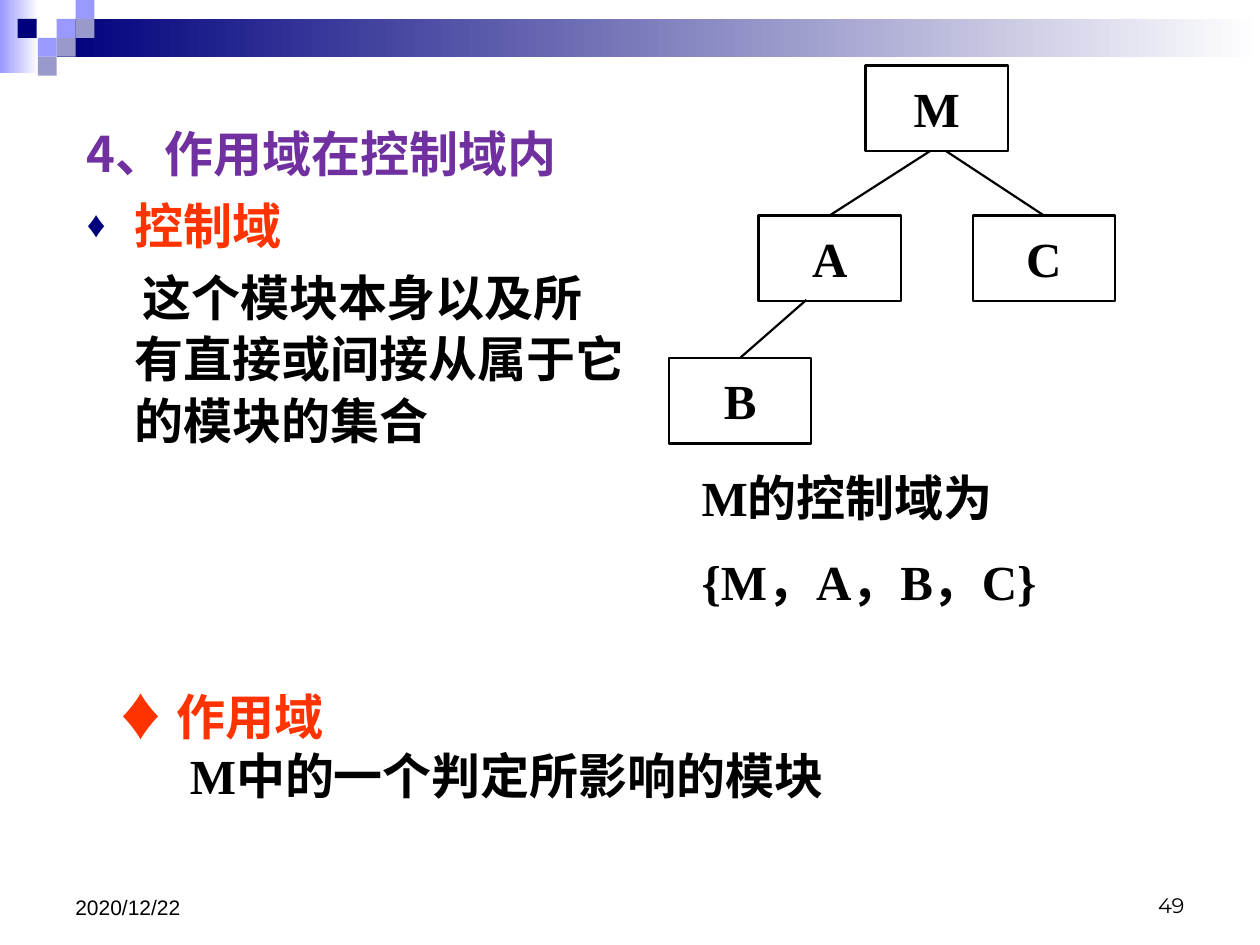
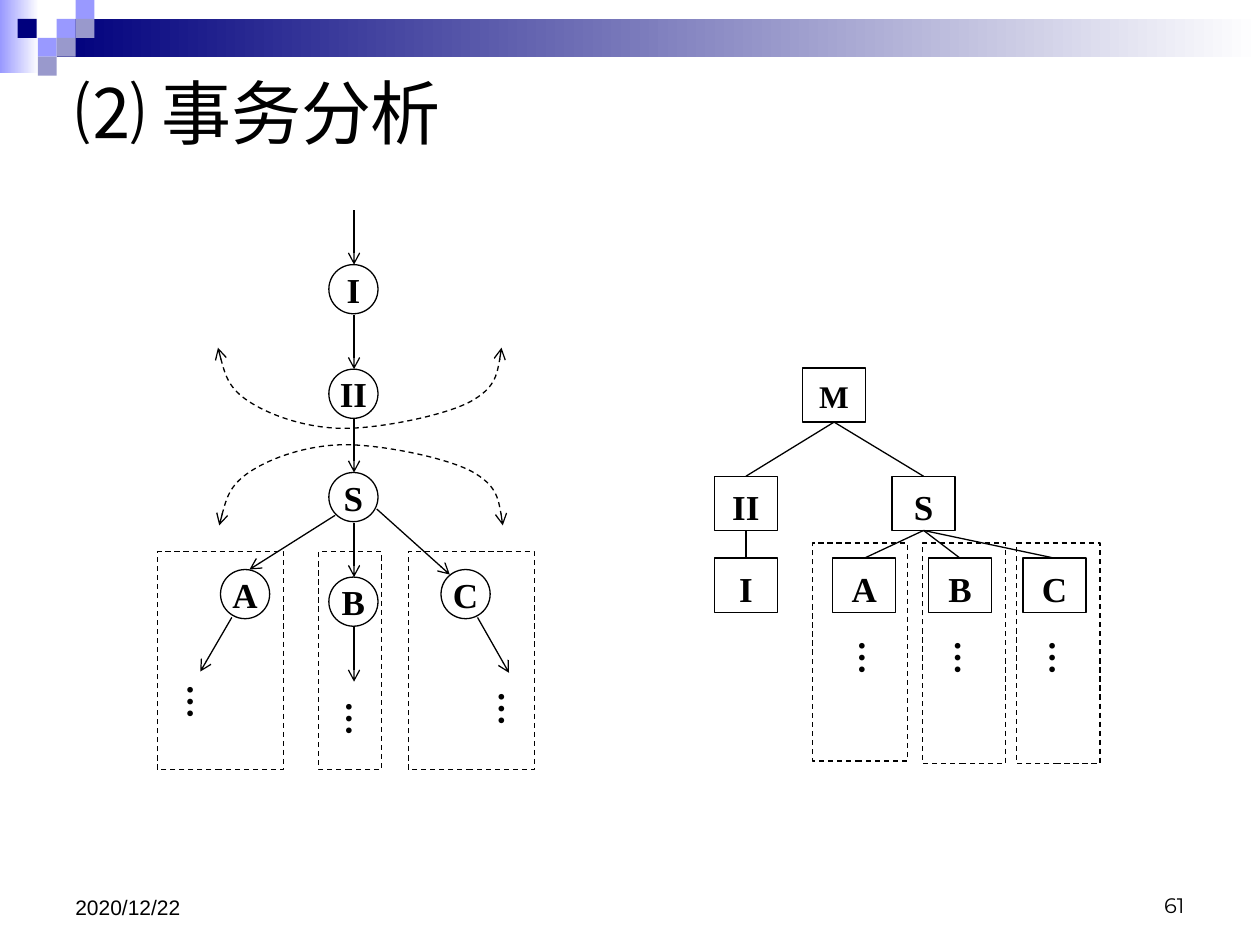
from dataclasses import dataclass

from lxml import etree
from pptx import Presentation
from pptx import util as u
from pptx.dml.color import RGBColor
from pptx.enum import dml, shapes, text
from pptx.oxml.ns import qn

PX = 9144  # EMU in one px: 100 px to the inch


@dataclass(frozen=True)
class Theme:
    navy: str = "00007D"
    lilac: str = "9999FF"
    grey_lilac: str = "9999CC"
    purple: str = "7030A0"
    red: str = "FF3300"
    black: str = "000000"
    white: str = "FFFFFF"
    serif: str = "Times New Roman"
    cjk: str = "Noto Sans CJK JP"
    date_font: str = "Arial"
    number_font: str = "Montserrat"
    title: int = 40
    body: int = 28
    node: int = 20
    root: int = 18
    footer: int = 12


T = Theme()
TOP, MIDDLE, BOTTOM = (text.MSO_ANCHOR.TOP, text.MSO_ANCHOR.MIDDLE,
                       text.MSO_ANCHOR.BOTTOM)
LEFT, CENTER, RIGHT, JUSTIFY = (text.PP_ALIGN.LEFT, text.PP_ALIGN.CENTER,
                                text.PP_ALIGN.RIGHT, text.PP_ALIGN.JUSTIFY)
RECT, OVAL = shapes.MSO_SHAPE.RECTANGLE, shapes.MSO_SHAPE.OVAL
SIDE_TOP, SIDE_BOTTOM = 0, 2


def px(*values):
    return [u.Emu(round(v * PX)) for v in values]


def assign(obj, values):
    for name, value in values.items():
        setattr(obj, name, value)


def place(sp, box):
    assign(sp, dict(zip(("left", "top", "width", "height"), px(*box))))


def frame(sp, anchor=TOP, insets=(10, 5, 10, 5), wrap=True):
    tf = sp.text_frame
    sides = ("margin_left", "margin_top", "margin_right", "margin_bottom")
    assign(tf, dict(zip(sides, px(*insets)), vertical_anchor=anchor,
                    word_wrap=wrap, auto_size=text.MSO_AUTO_SIZE.NONE))
    return tf


def write(p, words, size, color=T.black, font=T.serif, bold=True, indent=None,
          bullet=None, **layout):
    """Fill one paragraph; indent is (left, first line) in px."""
    pPr = p._p.get_or_add_pPr()
    if indent:
        for name, value in zip(("marL", "indent"), px(*indent)):
            pPr.set(name, str(int(value)))
    if bullet:
        clr = etree.SubElement(pPr, qn("a:buClr"))
        etree.SubElement(clr, qn("a:srgbClr"), val=T.navy)
        etree.SubElement(pPr, qn("a:buSzPct"), val="75000")
        etree.SubElement(pPr, qn("a:buChar"), char=bullet)
    else:
        etree.SubElement(pPr, qn("a:buNone"))
    assign(p, layout)
    r = p.add_run()
    r.text = words
    assign(r.font, dict(name=font, size=u.Pt(size), bold=bold))
    r.font.color.rgb = RGBColor.from_string(color)
    etree.SubElement(r._r.get_or_add_rPr(), qn("a:ea"), typeface=T.cjk)


def ink(sp, weight, dashed=False, head=False, tail=False):
    """Black outline, with optional dashes and arrowheads."""
    sp.line.color.rgb = RGBColor.from_string(T.black)
    sp.line.width = u.Pt(weight)
    if dashed:
        sp.line.dash_style = dml.MSO_LINE.DASH
    ln = sp.element.find(".//" + qn("a:ln"))
    for tag, wanted in (("a:headEnd", head), ("a:tailEnd", tail)):
        if wanted:
            etree.SubElement(ln, qn(tag), type="arrow")


class Region:
    """Draws parts at px offsets from the top left corner of its box."""

    def __init__(self, sl, x, y, weight=0.75):
        self.shapes, self.x, self.y, self.weight = sl.shapes, x, y, weight

    def shift(self, x, y):
        return self.x + x, self.y + y

    def shape(self, kind, x, y, w, h, fill=None, dashed=False):
        sp = self.shapes.add_shape(kind, *px(*self.shift(x, y), w, h))
        sp.shadow.inherit = False
        if fill:
            sp.fill.solid()
            sp.fill.fore_color.rgb = RGBColor.from_string(fill)
        else:
            sp.fill.background()
        ink(sp, self.weight, dashed)
        return sp

    def module(self, name, x, y, w, h, size, fill=None):
        sp = self.shape(RECT, x, y, w, h, fill)
        tf = frame(sp, insets=(2, 1, 2, 0))
        write(tf.paragraphs[0], name, size, alignment=CENTER, line_spacing=1.2)
        return sp

    def circle(self, name, x, y, d):
        tf = frame(self.shape(OVAL, x, y, d, d), MIDDLE, (0, 0, 0, 0), False)
        write(tf.paragraphs[0], name, T.node, alignment=CENTER)

    def line(self, start, end, arrow=False):
        """Each end is a px point or a (shape, side) pair."""
        points = [self.shift(*e) if isinstance(e[0], (int, float)) else (0, 0)
                  for e in (start, end)]
        cx = self.shapes.add_connector(shapes.MSO_CONNECTOR.STRAIGHT,
                                       *px(*points[0], *points[1]))
        for e, join in ((start, cx.begin_connect), (end, cx.end_connect)):
            if not isinstance(e[0], (int, float)):
                join(*e)
        ink(cx, self.weight, tail=arrow)
        etree.SubElement(cx.element.find(qn("p:spPr")), qn("a:effectLst"))

    def curve(self, x, y, points):
        """Double-headed dashed curve through cubic control points."""
        pts = [px(*self.shift(x + a, y + b)) for a, b in points]
        fb = self.shapes.build_freeform(*pts[0])
        fb.add_line_segments(pts[1:], close=False)
        sp = fb.convert_to_shape()
        path = sp.element.find(".//" + qn("a:path"))
        steps = path.findall(qn("a:lnTo"))
        for i in range(0, len(steps), 3):
            bez = etree.SubElement(path, qn("a:cubicBezTo"))
            for step in steps[i:i + 3]:
                bez.append(step[0])
                path.remove(step)
        sp.shadow.inherit = False
        sp.fill.background()
        ink(sp, self.weight, dashed=True, head=True, tail=True)

    def textbox(self, x, y, w, h, **options):
        sp = self.shapes.add_textbox(*px(*self.shift(x, y), w, h))
        return frame(sp, **options)

    def dots(self, x, y, insets):
        tf = self.textbox(x, y, 50, 65, insets=insets)
        tf._txBody.bodyPr.set("vert", "eaVert")
        write(tf.paragraphs[0], "…", T.node, alignment=JUSTIFY)


# Shared parts
def master_band(prs, sl):
    """Gradient band and squares, kept on the slide master."""
    group = sl.shapes.add_group_shape()
    blocks = [(0, 0, 31, 58, T.lilac, True), (45, 15, 955, 30, T.navy, True)]
    blocks += [(x, y, 15, 15, color, False) for x, y, color in (
        (45, 15, T.lilac), (60, 0, T.lilac), (60, 15, T.grey_lilac),
        (30, 30, T.lilac), (14, 15, T.navy), (45, 30, T.grey_lilac),
        (30, 45, T.grey_lilac))]
    for *box, color, fades in blocks:
        sp = group.shapes.add_shape(RECT, *px(*box))
        sp.shadow.inherit = False
        sp.line.fill.background()
        if fades:
            sp.fill.gradient()
            sp.fill.gradient_angle = 0
            for stop, c in zip(sp.fill.gradient_stops, (color, T.white)):
                stop.color.rgb = RGBColor.from_string(c)
        else:
            sp.fill.solid()
            sp.fill.fore_color.rgb = RGBColor.from_string(color)
    for i, el in enumerate(group.element.iter(qn("p:cNvPr"))):
        el.set("id", str(100 + i))
    prs.slide_master.shapes.element.insert(2, group.element)


def footer(sl, number):
    row = Region(sl, 50, 683)
    for words, x, h, font, align in (
            (number, 667, 50, T.number_font, RIGHT),
            ("2020/12/22", 0, 52, T.date_font, LEFT)):
        tf = row.textbox(x, 0, 233, h, anchor=BOTTOM)
        write(tf.paragraphs[0], words, T.footer, font=font, bold=False,
              alignment=align)


# Slide about control scope
def scope_body(sp, box):
    place(sp, box)
    tf = frame(sp)
    items = (
        ("4、作用域在控制域内", dict(color=T.purple, font=T.cjk)),
        ("控制域", dict(color=T.red, bullet="♦")),
        ("这个模块本身以及所有直接或间接从属于它的模块的集合",
         dict(indent=(38, 6))))
    for i, (words, look) in enumerate(items):
        p = tf.add_paragraph() if i else tf.paragraphs[0]
        write(p, words, T.body, **{"indent": (38, -38), **look},
              line_spacing=1.05, space_before=u.Pt(5.6 if i else 0))


def module_tree(sl, x, y):
    tree = Region(sl, x, y, weight=1.25)
    spots = {"M": (156, 0), "A": (71, 119), "C": (241, 119), "B": (0, 232)}
    nodes = {name: tree.module(name, *at, 113, 68, T.body, T.white)
             for name, at in spots.items()}
    for start, child in (((207, 68), "A"), ((220, 68), "C"), ((109, 186), "B")):
        tree.line(start, (nodes[child], SIDE_TOP))


def scope_notes(sl, x, y):
    notes = Region(sl, x, y)
    # Control scope of M
    tf = notes.textbox(464, 0, 402, 122)
    write(tf.paragraphs[0], "M的控制域为", T.body, line_spacing=0.8)
    write(tf.add_paragraph(), "{M，A，B，C}", T.body, line_spacing=0.8,
          space_before=u.Pt(21))
    # Effect scope
    tf = notes.textbox(0, 165, 717, 103)
    write(tf.paragraphs[0], "♦ 作用域", T.body, T.red)
    write(tf.add_paragraph(), "M中的一个判定所影响的模块", T.body,
          indent=(58, 0))


# Slide about transaction analysis
def analysis_title(sp, box):
    place(sp, box)
    tf = frame(sp, MIDDLE)
    write(tf.paragraphs[0], "⑵ 事务分析", T.title, bold=False, alignment=LEFT)


def structure_chart(sl, x, y):
    chart = Region(sl, x, y)
    leaves = {name: round(94 + 75.5 * i) for i, name in enumerate("ABC")}
    spots = {"M": (70, 0), "II": (0, 86), "I": (0, 151), "S": (141, 86)}
    spots.update({name: (left, 151) for name, left in leaves.items()})
    nodes = {name: chart.module(name, *at, 50, 43,
                                T.root if name == "M" else T.node)
             for name, at in spots.items()}
    for parent, children in (("M", ("II", "S")), ("II", "I"), ("S", "ABC")):
        for child in children:
            chart.line((nodes[parent], SIDE_BOTTOM), (nodes[child], SIDE_TOP))
    for left in leaves.values():
        chart.dots(left + 1, 216, (2, 0, 2, 1))
    for left, w, h in ((78, 75, 173), (165, 66, 175), (240, 66, 175)):
        chart.shape(RECT, left, 139, w, h, dashed=True)


def flow_chart(sl, x, y):
    flow = Region(sl, x, y)
    # Boundaries of the transaction centre
    bowl = [(0, 0), (4, 16), (8, 32), (25, 43), (42, 54), (71, 64), (100, 64),
            (129, 64), (179, 54), (200, 43), (220, 32), (223, 16), (225, 0)]
    flow.curve(48, 109, bowl)
    flow.curve(49, 185, [(a, 65 - b) for a, b in bowl])
    for left, w in ((0, 100), (128, 50), (199, 100)):
        flow.shape(RECT, left, 271, w, 173, dashed=True)
    # Main column, then the side branches
    for i, name in enumerate(("I", "II", "S", "B", None)):
        top = round(43 + 82.67 * i)
        if name:
            flow.circle(name, 136, top, 39)
        flow.line((156, top - 43), (156, top), arrow=True)
    flow.circle("A", 50, 285, 39)
    flow.circle("C", 225, 285, 39)
    for start, end in (((141, 242), (73, 285)), ((174, 237), (232, 289)),
                       ((59, 323), (34, 366)), ((254, 323), (279, 367))):
        flow.line(start, end, arrow=True)
    for left, top in ((2, 368), (128, 382), (249, 374)):
        flow.dots(left, top, (0, 8, 0, 0))


def main():
    prs = Presentation()
    prs.slide_width, prs.slide_height = px(1000, 750)

    sl = prs.slides.add_slide(prs.slide_layouts[1])
    master_band(prs, sl)
    title = sl.shapes.title.element
    title.getparent().remove(title)
    footer(sl, "49")
    scope_body(sl.placeholders[1], (59, 91, 449, 394))
    module_tree(sl, 531, 52)
    scope_notes(sl, 83, 375)

    sl = prs.slides.add_slide(prs.slide_layouts[5])
    footer(sl, "61")
    analysis_title(sl.shapes.title, (50, 44, 900, 89))
    structure_chart(sl, 567, 292)
    flow_chart(sl, 125, 167)

    prs.save("out.pptx")


if __name__ == "__main__":
    main()
